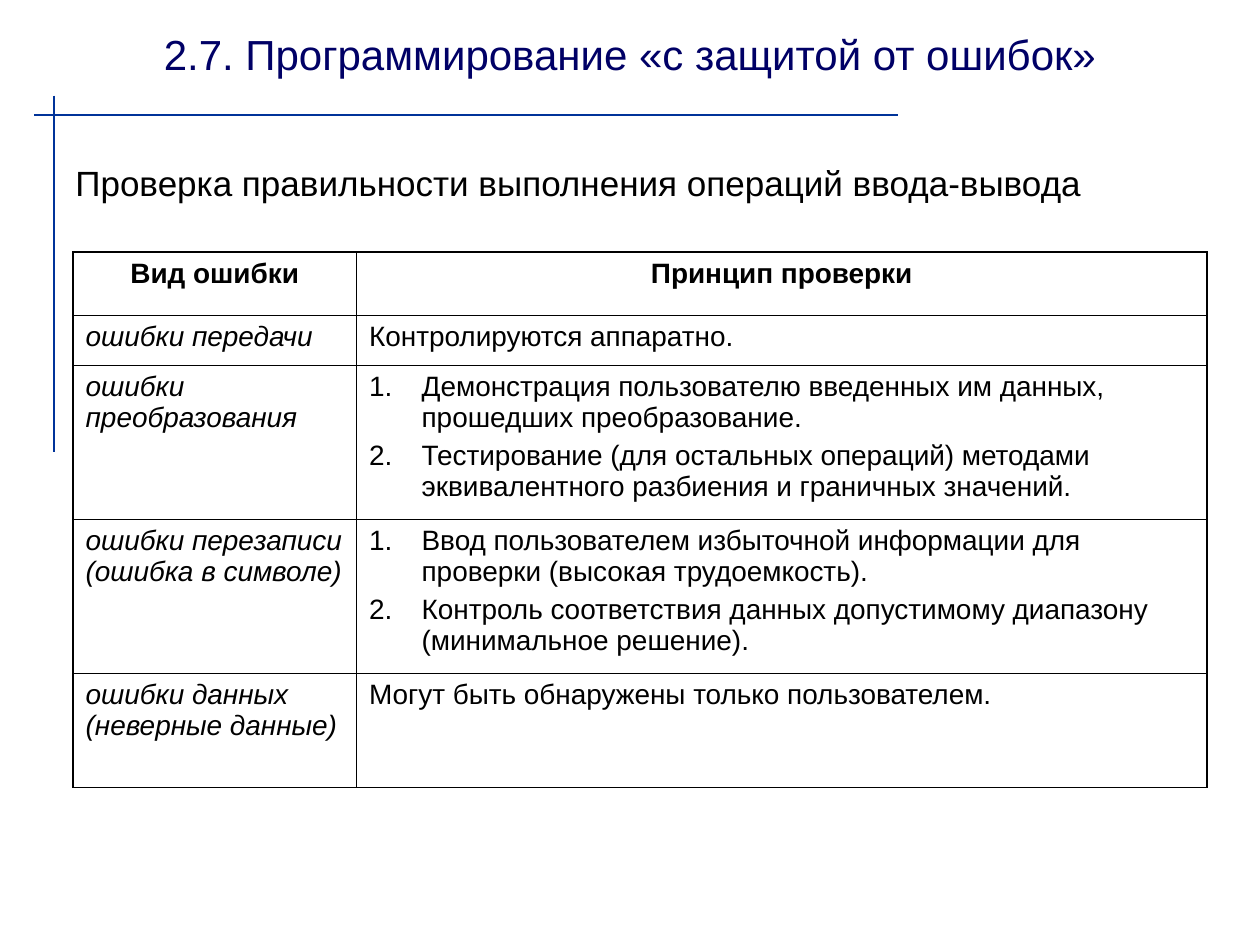
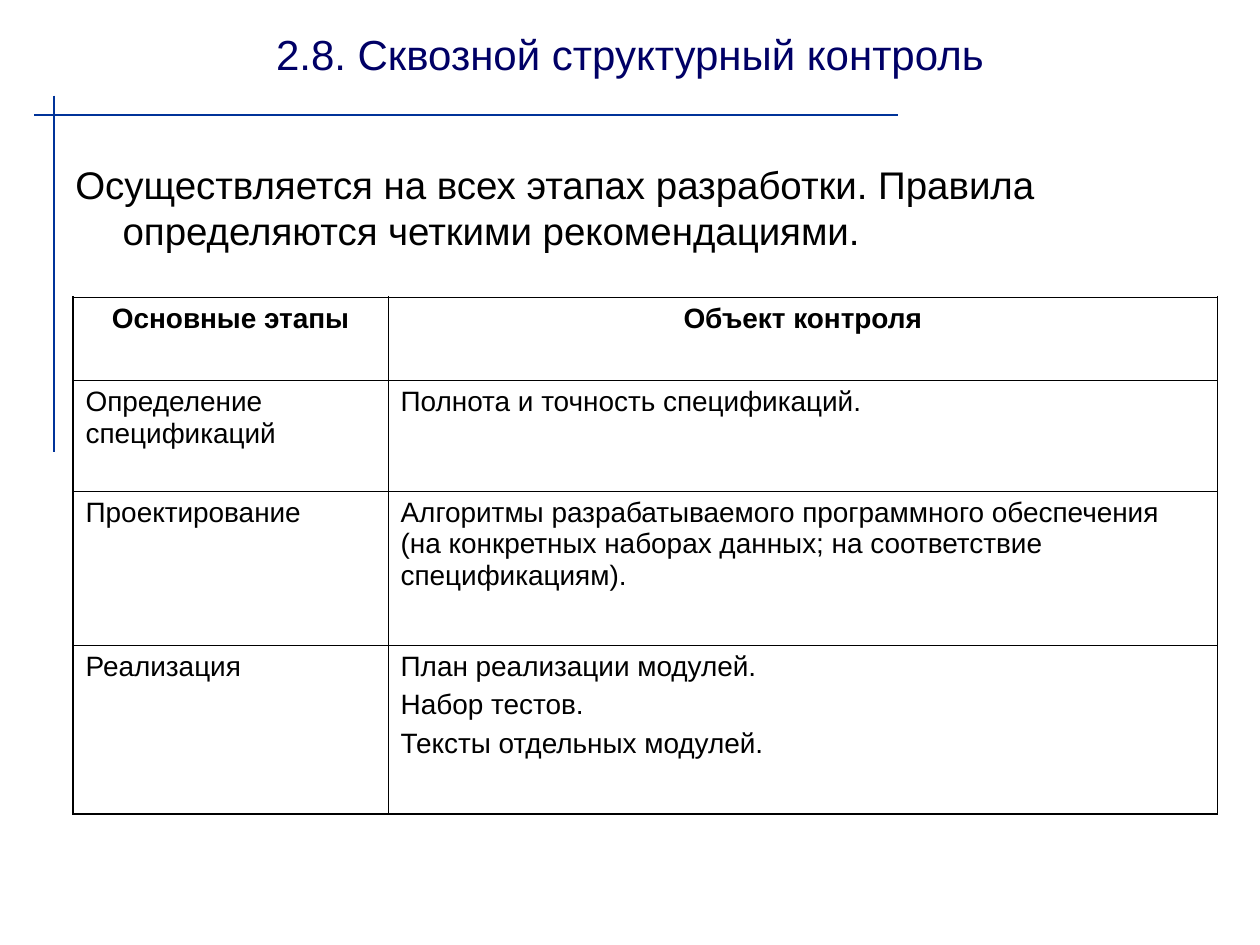
from lxml.etree import SubElement
from pptx import Presentation
from pptx.dml.color import RGBColor
from pptx.enum.shapes import MSO_CONNECTOR
from pptx.enum.text import MSO_ANCHOR, MSO_AUTO_SIZE, PP_ALIGN
from pptx.oxml.ns import qn
from pptx.util import Pt

BLACK, NAVY, BLUE = "000000", "000066", "003399"
OUTER, INNER = 1.08, 0.45


def color(value):
    return RGBColor.from_string(value)


class Deck:
    """Holds the shared style and the current slide."""

    font = "Arial"
    left, width = 36, 648
    table_left = 41.76
    rules = ((19.5, 65.7, 513, 65.7), (31, 54.7, 31, 258.5))

    def __init__(self):
        self.presentation = Presentation()
        self.presentation.slide_width = Pt(720)
        self.presentation.slide_height = Pt(540)

    def start(self, heading):
        self.slide = self.presentation.slides.add_slide(self.presentation.slide_layouts[5])
        for ends in self.rules:
            self.rule(*ends)
        title = self.slide.shapes.title
        title.left, title.top = Pt(self.left), Pt(5.76)
        title.width, title.height = Pt(self.width), Pt(49.7)
        frame = title.text_frame
        frame.auto_size = MSO_AUTO_SIZE.NONE
        frame.vertical_anchor = MSO_ANCHOR.MIDDLE
        self.set_text(frame.paragraphs[0], heading, 24, NAVY, align=PP_ALIGN.CENTER)

    def rule(self, *ends):
        line = self.slide.shapes.add_connector(MSO_CONNECTOR.STRAIGHT, *map(Pt, ends))
        line.line.color.rgb = color(BLUE)
        line.line.width = Pt(1)
        SubElement(line._element.spPr, qn("a:effectLst"))

    def set_text(self, paragraph, text, size, ink=BLACK, before=0, align=PP_ALIGN.LEFT,
                 bold=False, italic=False):
        paragraph.text = text
        paragraph.alignment = align
        paragraph.space_before = Pt(before)
        font = paragraph.font
        font.name, font.size = self.font, Pt(size)
        font.bold, font.italic = bold, italic
        font.color.rgb = color(ink)

    def indent(self, paragraph, hang):
        properties = paragraph._p.get_or_add_pPr()
        properties.set("marL", str(Pt(hang)))
        properties.set("indent", str(-Pt(hang)))
        return properties

    def statement(self, text, size, height):
        box = self.slide.shapes.add_textbox(Pt(self.left), Pt(88.6), Pt(self.width), Pt(height))
        box.text_frame.word_wrap = True
        paragraph = box.text_frame.paragraphs[0]
        self.indent(paragraph, 27)
        self.set_text(paragraph, text, size, before=size / 4)

    def border(self, cell, sides):
        properties = cell._tc.get_or_add_tcPr()
        for side, is_outer in sides.items():
            line = SubElement(properties, qn(f"a:ln{side}"), w=str(Pt(OUTER if is_outer else INNER)))
            fill = SubElement(line, qn("a:solidFill"))
            SubElement(fill, qn("a:srgbClr"), val=BLACK)
        cell.fill.background()

    def fill_cell(self, cell, texts, numbered, **style):
        frame = cell.text_frame
        for index, text in enumerate(texts):
            paragraph = frame.add_paragraph() if index else frame.paragraphs[0]
            if numbered:
                properties = self.indent(paragraph, 30)
                SubElement(properties, qn("a:buFont"), typeface="+mj-lt")
                SubElement(properties, qn("a:buAutoNum"), type="arabicPeriod")
            self.set_text(paragraph, text, 16, before=4, **style)

    def table(self, top, widths, heights, rows, numbered=False, italic_first=False):
        last_row, last_column = len(rows) - 1, len(widths) - 1
        table = self.slide.shapes.add_table(
            len(rows), len(widths), Pt(self.table_left), Pt(top),
            Pt(sum(widths)), Pt(sum(heights))).table
        table.first_row = table.horz_banding = False
        for column, width in zip(table.columns, widths):
            column.width = Pt(width)
        for r, (texts_row, height) in enumerate(zip(rows, heights)):
            table.rows[r].height = Pt(height)
            for c, texts in enumerate(texts_row):
                cell = table.cell(r, c)
                self.border(cell, {"L": c == 0, "R": c == last_column,
                                   "T": r == 0, "B": r == last_row})
                if r == 0:
                    style = {"bold": True, "align": PP_ALIGN.CENTER}
                else:
                    style = {"italic": italic_first and c == 0}
                self.fill_cell(cell, texts, numbered and len(texts) > 1, **style)


def main():
    deck = Deck()

    deck.start("2.7. Программирование «с защитой от ошибок»")
    deck.statement("Проверка правильности выполнения операций ввода-вывода", 20, 394)
    deck.table(144, (162, 486), (36.3, 28.3, 88, 88, 65.4), (
        (["Вид ошибки"], ["Принцип проверки"]),
        (["ошибки передачи"], ["Контролируются аппаратно."]),
        (["ошибки преобразования"],
         ["Демонстрация пользователю введенных им данных, прошедших преобразование.",
          "Тестирование (для остальных операций) методами эквивалентного разбиения "
          "и граничных значений."]),
        (["ошибки перезаписи (ошибка в символе)"],
         ["Ввод пользователем избыточной информации для проверки (высокая трудоемкость).",
          "Контроль соответствия данных допустимому диапазону (минимальное решение)."]),
        (["ошибки данных (неверные данные)"], ["Могут быть обнаружены только пользователем."]),
    ), numbered=True, italic_first=True)

    deck.start("2.8. Сквозной структурный контроль")
    deck.statement("Осуществляется на всех этапах разработки. Правила определяются "
                   "четкими рекомендациями.", 22, 67.7)
    deck.table(169.9, (180, 474), (47.5, 63.4, 88, 96.5), (
        (["Основные этапы"], ["Объект контроля"]),
        (["Определение спецификаций"], ["Полнота и точность спецификаций."]),
        (["Проектирование"],
         ["Алгоритмы разрабатываемого программного обеспечения (на конкретных наборах "
          "данных; на соответствие спецификациям)."]),
        (["Реализация"],
         ["План реализации модулей.", "Набор тестов.", "Тексты отдельных модулей."]),
    ))

    deck.presentation.save("out.pptx")


if __name__ == "__main__":
    main()
